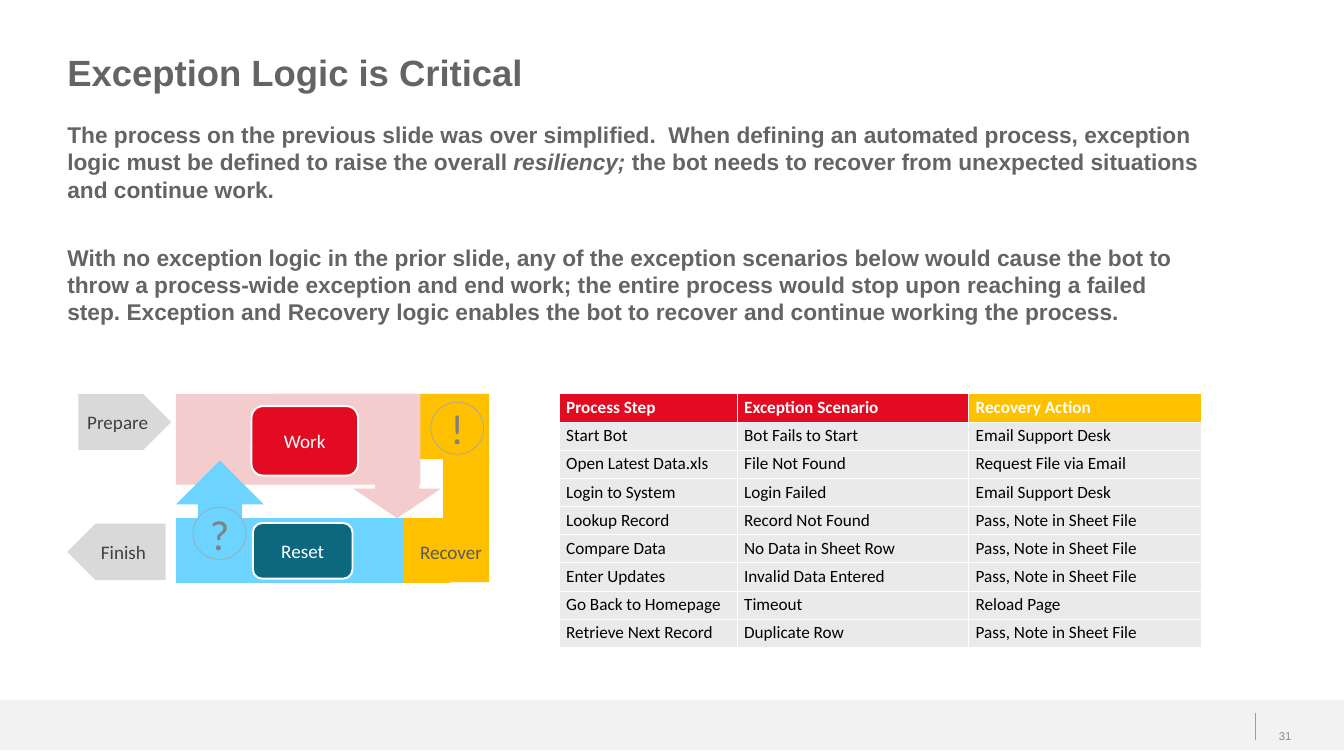
"""Build the slide on exception logic, with a work cycle and a recovery table."""
from typing import NamedTuple, Optional

from lxml import etree
from pptx import Presentation
from pptx.dml.color import RGBColor
from pptx.enum.shapes import MSO_CONNECTOR, MSO_SHAPE
from pptx.enum.text import MSO_ANCHOR, MSO_AUTO_SIZE, PP_ALIGN
from pptx.oxml.ns import qn
from pptx.util import Inches, Pt

RECT, ROUND, OVAL = MSO_SHAPE.RECTANGLE, MSO_SHAPE.ROUNDED_RECTANGLE, MSO_SHAPE.OVAL
UP, DOWN, TAG = MSO_SHAPE.UP_ARROW, MSO_SHAPE.DOWN_ARROW, MSO_SHAPE.PENTAGON
LEFT, CENTER = PP_ALIGN.LEFT, PP_ALIGN.CENTER
TOP, MIDDLE = MSO_ANCHOR.TOP, MSO_ANCHOR.MIDDLE

RED, AMBER, PINK, SKY, TEAL = "E20B22", "FFC000", "F4CCCD", "6DD4FF", "0B687F"
WHITE, BLACK, SILVER, INK = "FFFFFF", "000000", "D9D9D9", "646464"


class Block(NamedTuple):
    kind: int
    left: float
    top: float
    width: float
    height: float
    fill: Optional[str] = None
    line: Optional[str] = None
    weight: float = 2
    text: str = ""
    color: str = WHITE
    size: float = 20
    flip: bool = False


BLOCKS = [
    Block(RECT, 3.97, 5.73, 3.15, 0.95, AMBER),
    Block(RECT, 2.56, 5.73, 3.56, 1.32, PINK),
    Block(ROUND, 3.66, 5.91, 1.55, 1.01, RED, WHITE, text="Work"),
    Block(RECT, 2.56, 7.54, 3.49, 0.94, SKY),
    Block(UP, 2.56, 6.7, 1.28, 1.37, SKY),
    Block(DOWN, 5.14, 6.68, 1.28, 0.86, PINK),
    Block(TAG, 1.14, 5.73, 1.35, 0.82, SILVER, text="Prepare", color="404040"),
    Block(TAG, 0.98, 7.62, 1.43, 0.82, SILVER, text="Finish", color="404040", flip=True),
    Block(ROUND, 3.68, 7.61, 1.45, 0.81, TEAL, WHITE, text="Reset"),
    Block(OVAL, 2.81, 7.38, 0.77, 0.76, None, "A6A6A6", 0.75, "?", "808080", 44),
    Block(OVAL, 6.27, 5.85, 0.77, 0.76, None, "A6A6A6", 0.75, "!", "808080", 44),
    Block(RECT, 6.45, 6.63, 0.67, 1.84, AMBER),
    Block(RECT, 5.88, 7.54, 0.67, 0.94, AMBER),
]

INTRO = [
    ("The process on the previous slide was over simplified.  When defining an automated "
     "process, exception logic must be defined to raise the overall ", False),
    ("resiliency; ", True),
    ("the bot needs to recover from unexpected situations and continue work.", False),
]
DETAIL = (
    "With no exception logic in the prior slide, any of the exception scenarios below would "
    "cause the bot to throw a process-wide exception and end work; the entire process would "
    "stop upon reaching a failed step. Exception and Recovery logic enables the bot to recover "
    "and continue working the process."
)

NOTE = "Pass, Note in Sheet File"
ROWS = [
    ("Process Step", "Exception Scenario", "Recovery Action"),
    ("Start Bot", "Bot Fails to Start", "Email Support Desk"),
    ("Open Latest Data.xls", "File Not Found", "Request File via Email"),
    ("Login to System", "Login Failed", "Email Support Desk"),
    ("Lookup Record", "Record Not Found", NOTE),
    ("Compare Data", "No Data in Sheet Row", NOTE),
    ("Enter Updates", "Invalid Data Entered", NOTE),
    ("Go Back to Homepage", "Timeout", "Reload Page"),
    ("Retrieve Next Record", "Duplicate Row", NOTE),
]
COL_WIDTHS = [2.59, 3.37, 3.38]
HEADER_FILLS = [RED, RED, AMBER]


def rgb(value: str) -> RGBColor:
    return RGBColor.from_string(value)


def add_text(p, text: str, *, size: float, color: str, font: str = "Calibri",
             bold: bool = False, italic: bool = False, align=LEFT) -> None:
    p.alignment = align
    r = p.add_run()
    r.text = text
    r.font.name, r.font.size = font, Pt(size)
    r.font.bold, r.font.italic = bold, italic
    r.font.color.rgb = rgb(color)


def set_frame(tf, *, anchor=TOP, margin: float = 0, wrap: bool = True) -> None:
    tf.word_wrap, tf.auto_size, tf.vertical_anchor = wrap, MSO_AUTO_SIZE.NONE, anchor
    tf.margin_left = tf.margin_right = tf.margin_top = tf.margin_bottom = Inches(margin)


def add_box(s, left: float, top: float, width: float, height: float):
    return s.shapes.add_textbox(Inches(left), Inches(top), Inches(width), Inches(height)).text_frame


def add_block(s, block: Block) -> None:
    sp = s.shapes.add_shape(block.kind, Inches(block.left), Inches(block.top),
                            Inches(block.width), Inches(block.height))
    sp.shadow.inherit = False
    if block.fill:
        sp.fill.solid()
        sp.fill.fore_color.rgb = rgb(block.fill)
    else:
        sp.fill.background()
    if block.line:
        sp.line.color.rgb = rgb(block.line)
        sp.line.width = Pt(block.weight)
    else:
        sp.line.fill.background()
    if block.flip:
        sp.element.spPr.find(qn("a:xfrm")).set("flipH", "1")
    if block.text:
        set_frame(sp.text_frame, anchor=MIDDLE, wrap=False)
        add_text(sp.text_frame.paragraphs[0], block.text, size=block.size,
                 color=block.color, align=CENTER)


def add_footer(s) -> None:
    add_block(s, Block(RECT, 0, 10.19, 19.56, 0.73, "F2F2F2"))
    x = Inches(18.27)
    rule = s.shapes.add_connector(MSO_CONNECTOR.STRAIGHT, x, Inches(10.38), x, Inches(10.77))
    rule.line.color.rgb = rgb("9B9D98")
    rule.line.width = Pt(1)
    etree.SubElement(rule.element.spPr, qn("a:effectLst"))
    tf = add_box(s, 18.27, 10.42, 0.87, 0.59)
    set_frame(tf, anchor=MIDDLE)
    add_text(tf.paragraphs[0], "31", size=11.9, color="8C8C8C", font="Arial", align=CENTER)


def add_title(s) -> None:
    sp = s.shapes.title
    sp.left, sp.top, sp.width, sp.height = Inches(0.98), Inches(0.73), Inches(17.6), Inches(0.86)
    set_frame(sp.text_frame)
    add_text(sp.text_frame.paragraphs[0], "Exception Logic is Critical",
             size=38.2, color=INK, font="Arial", bold=True)


def add_body(s) -> None:
    tf = add_box(s, 0.98, 1.76, 16.5, 3.1)
    set_frame(tf)
    for text, italic in INTRO:
        add_text(tf.paragraphs[0], text, size=23.8, color=INK, font="Arial",
                 bold=True, italic=italic)
    p = tf.add_paragraph()
    p.space_before = Pt(42.8)
    add_text(p, DETAIL, size=23.8, color=INK, font="Arial", bold=True)


def add_recovery_table(s) -> None:
    table = s.shapes.add_table(len(ROWS), len(COL_WIDTHS), Inches(8.14), Inches(5.73),
                               Inches(sum(COL_WIDTHS)), Inches(0.41 * len(ROWS))).table
    for col, width in zip(table.columns, COL_WIDTHS):
        col.width = Inches(width)
    for i, row in enumerate(ROWS):
        header = i == 0
        for j, text in enumerate(row):
            cell = table.cell(i, j)
            cell.fill.solid()
            cell.fill.fore_color.rgb = rgb(HEADER_FILLS[j] if header else "EAEAEA")
            add_text(cell.text_frame.paragraphs[0], text, size=18,
                     color=WHITE if header else BLACK, bold=header)


def main() -> None:
    prs = Presentation()
    prs.slide_width, prs.slide_height = Inches(19.56), Inches(11)
    s = prs.slides.add_slide(prs.slide_layouts[5])
    add_footer(s)
    add_title(s)
    add_body(s)
    add_recovery_table(s)
    for block in BLOCKS:
        add_block(s, block)
    tf = add_box(s, 6.01, 7.82, 1.11, 0.44)
    set_frame(tf, margin=0.05, wrap=False)
    add_text(tf.paragraphs[0], "Recover", size=20, color="595959", align=CENTER)
    prs.save("out.pptx")


if __name__ == "__main__":
    main()
